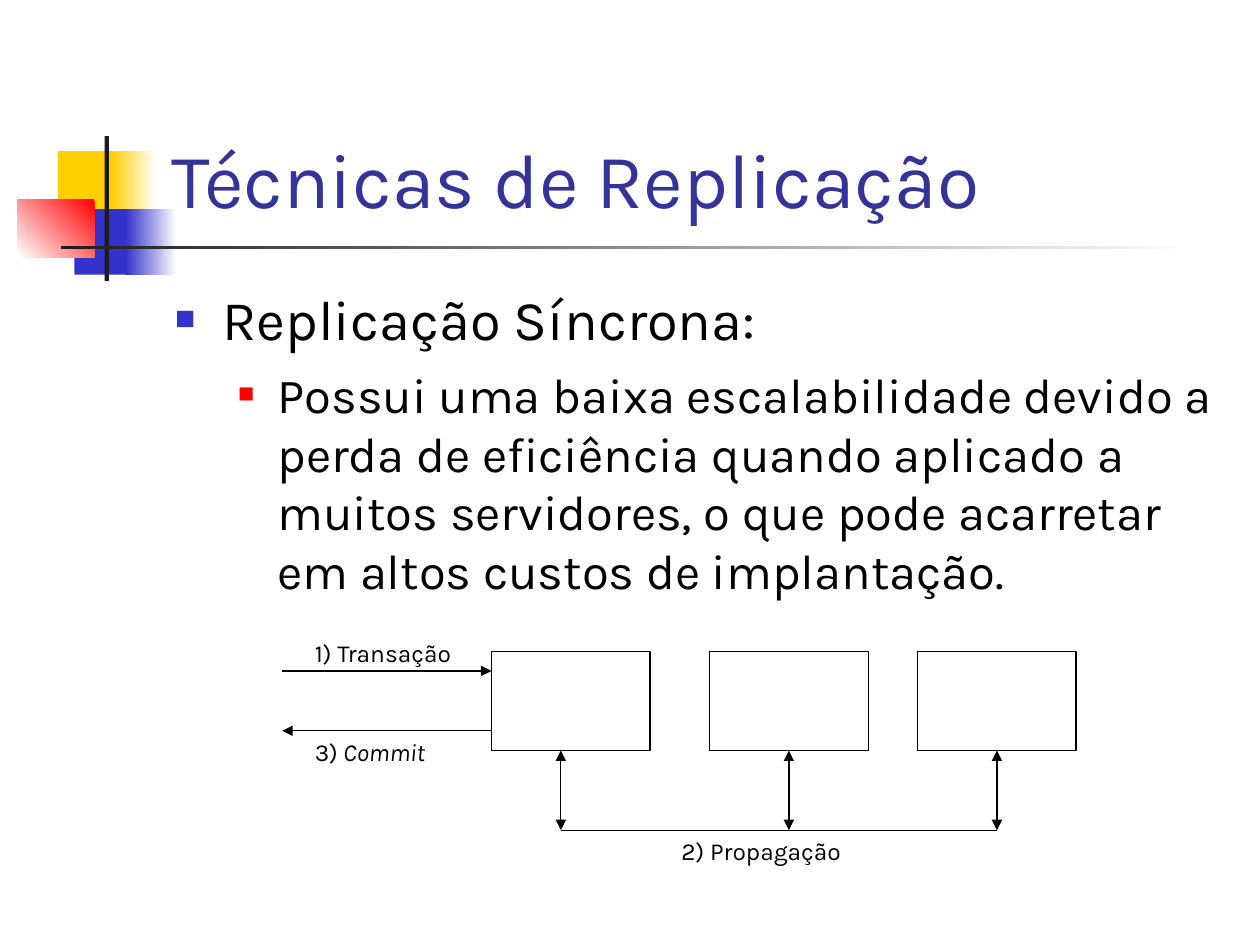
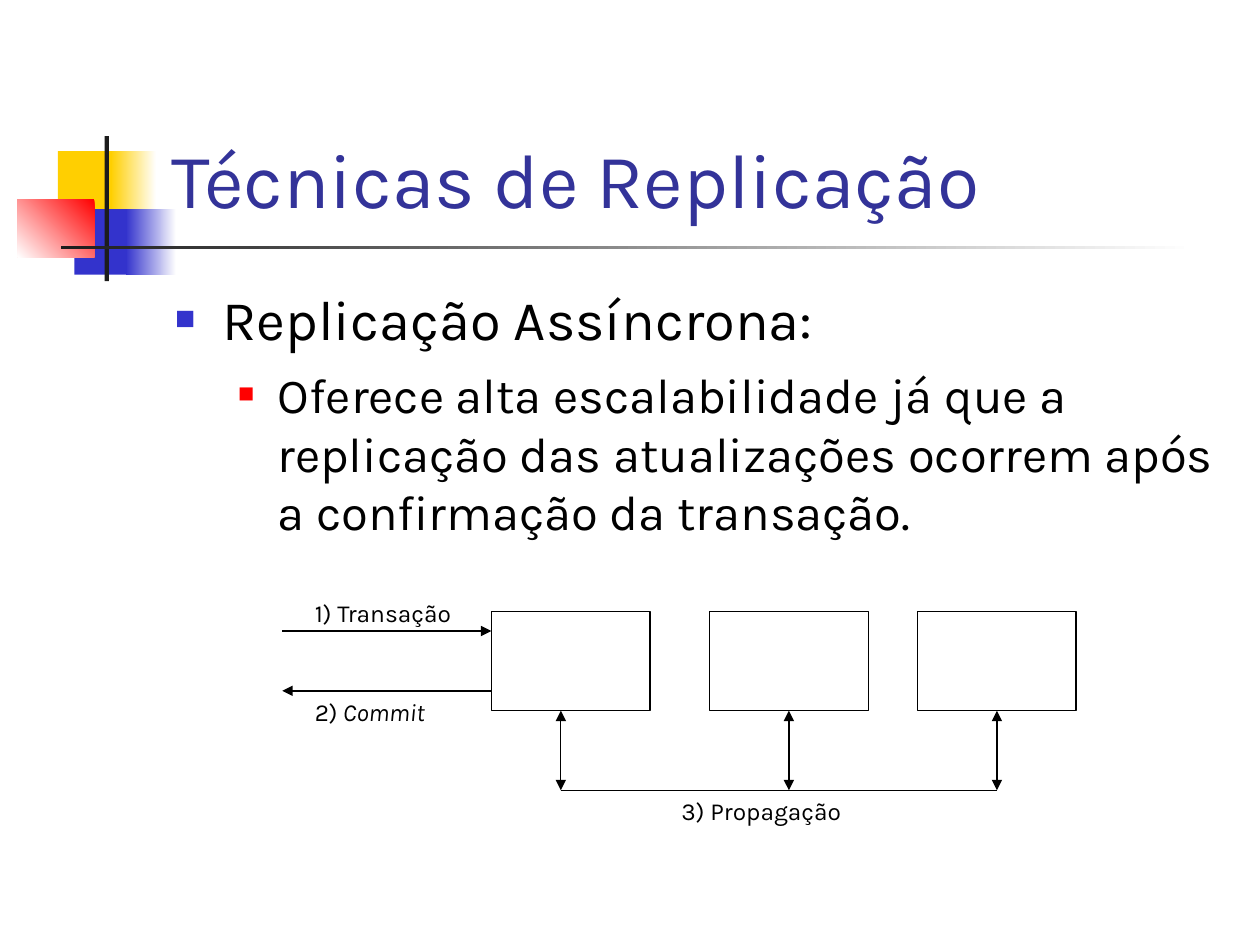
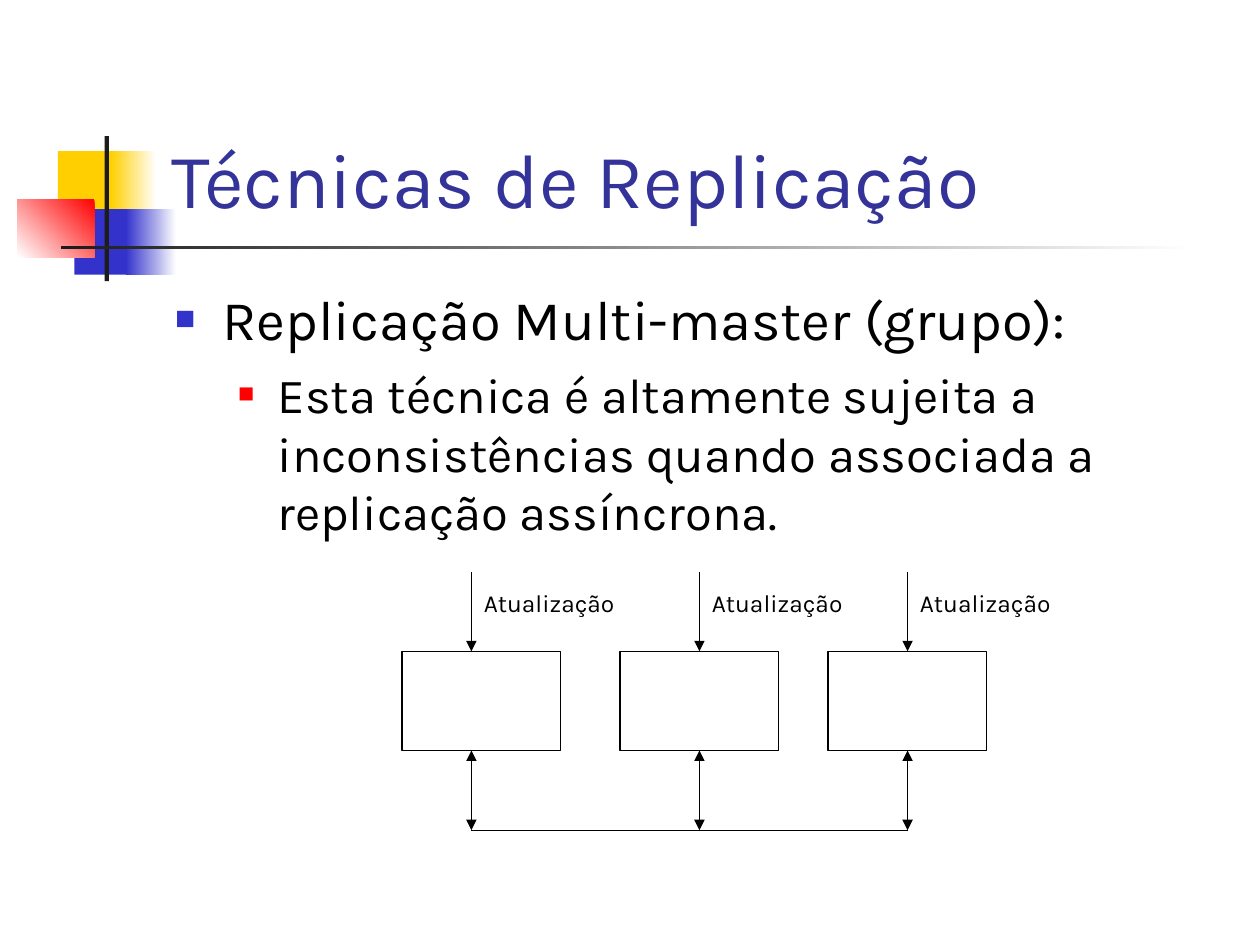
from dataclasses import dataclass

from lxml.etree import SubElement
from pptx import Presentation
from pptx.dml.color import RGBColor
from pptx.enum.shapes import MSO_CONNECTOR as Connector, MSO_SHAPE as Preset
from pptx.enum.text import MSO_ANCHOR as Anchor, MSO_AUTO_SIZE as AutoSize, PP_ALIGN as Align
from pptx.oxml.ns import qn
from pptx.util import Pt


@dataclass(frozen=True)
class Theme:
    font: str = "Karla"
    title_color: str = "333399"
    ink: str = "000000"
    white: str = "FFFFFF"
    yellow: str = "FFCF01"
    blue: str = "3333CC"
    red: str = "FF0000"
    charcoal: str = "1C1C1C"
    title_size: float = 44
    topic_size: float = 32
    detail_size: float = 28
    label_size: float = 14
    line_width: float = 0.75


SERVER_OFFSETS = (0, 124.7, 243.4)
STEM_OFFSETS = (39.7, 170, 288.9)
SERVER_WIDTH, SERVER_HEIGHT = 90.7, 56.7
BUS_DROP = 102.2
CLIENT_X, LABEL_X = 161.3, 172.8
LABEL_HEIGHT = 24.5


class Deck:
    def __init__(self, theme):
        self.theme = theme
        self.prs = Presentation()
        self.prs.slide_width, self.prs.slide_height = Pt(720), Pt(540)
        self.layout = self.prs.slide_layouts[1]
        self.slide = None

    def style(self, paragraph, size, color):
        font = paragraph.font
        font.name, font.size = self.theme.font, Pt(size)
        font.color.rgb = RGBColor.from_string(color)

    def place(self, shape, *box):
        shape.left, shape.top, shape.width, shape.height = map(Pt, box)

    def rectangle(self, *box):
        shape = self.slide.shapes.add_shape(Preset.RECTANGLE, *map(Pt, box))
        shape.shadow.inherit = False
        return shape

    def band(self, box, colors, angle=180):
        band = self.rectangle(*box)
        band.line.fill.background()
        if len(colors) == 1:
            band.fill.solid()
            band.fill.fore_color.rgb = RGBColor.from_string(colors[0])
        else:
            band.fill.gradient()
            band.fill.gradient_angle = angle
            for stop, color in zip(band.fill.gradient_stops, colors):
                stop.color.rgb = RGBColor.from_string(color)
        self.layout.shapes.element.append(band.element)

    def emblem(self):
        t = self.theme
        self.band((33.1, 86.4, 34.6, 37.4), [t.yellow])
        self.band((63.4, 86.4, 25.9, 37.4), [t.white, t.yellow])
        self.band((42.5, 119.5, 33.1, 37.4), [t.blue])
        self.band((72, 119.5, 28.8, 37.4), [t.white, t.blue])
        self.band((10, 113.8, 44, 33.1), [t.red, t.white], 225)
        self.band((59.8, 77.8, 2.4, 82.8), [t.charcoal])
        self.band((34.6, 140.4, 648, 2.2), [t.white, t.charcoal])

    def bullet(self, paragraph, left, hanging, color, percent):
        props = paragraph._p.get_or_add_pPr()
        props.set("marL", str(Pt(left)))
        props.set("indent", str(-Pt(hanging)))
        SubElement(SubElement(props, qn("a:buClr")), qn("a:srgbClr"), val=color)
        SubElement(props, qn("a:buSzPct"), val=str(percent * 1000))
        SubElement(props, qn("a:buChar"), char="■")

    def add_slide(self, topic, detail):
        t = self.theme
        self.slide = self.prs.slides.add_slide(self.layout)
        if len(self.prs.slides) == 1:
            self.emblem()
        title, body = self.slide.placeholders
        self.place(title, 90.7, 16.6, 613.4, 115.2)
        self.place(body, 92.9, 159.1, 612, 324)
        for placeholder in (title, body):
            placeholder.text_frame.auto_size = AutoSize.NONE
            placeholder.text_frame.word_wrap = True

        title.text_frame.text = "Técnicas de Replicação"
        title.text_frame.vertical_anchor = Anchor.BOTTOM
        heading = title.text_frame.paragraphs[0]
        heading.alignment = Align.LEFT
        self.style(heading, t.title_size, t.title_color)

        body.text_frame.text = f"{topic}\n{detail}"
        topic_line, detail_line = body.text_frame.paragraphs
        detail_line.level = 1
        self.bullet(topic_line, 27, 27, t.blue, 60)
        self.bullet(detail_line, 58.5, 22.5, t.red, 55)
        topic_line.space_before = Pt(0)
        detail_line.space_before = Pt(7)
        self.style(topic_line, t.topic_size, t.ink)
        self.style(detail_line, t.detail_size, t.ink)

    def label(self, left, top, width, text, italic=""):
        box = self.slide.shapes.add_textbox(Pt(left), Pt(top), Pt(width), Pt(LABEL_HEIGHT))
        box.text_frame.word_wrap = True
        paragraph = box.text_frame.paragraphs[0]
        paragraph.add_run().text = text
        if italic:
            run = paragraph.add_run()
            run.text = italic
            run.font.italic = True
        self.style(paragraph, self.theme.label_size, self.theme.ink)

    def line(self, start, end, heads=()):
        connector = self.slide.shapes.add_connector(
            Connector.STRAIGHT, *map(Pt, (*start, *end)))
        connector.line.width = Pt(self.theme.line_width)
        connector.line.color.rgb = RGBColor.from_string(self.theme.ink)
        props = connector.element.spPr
        for head in heads:
            SubElement(props.find(qn("a:ln")), qn(f"a:{head}"), type="triangle")
        SubElement(props, qn("a:effectLst"))

    def arrow(self, start, end):
        self.line(start, end, ["tailEnd"])

    def servers(self, left, top):
        for offset in SERVER_OFFSETS:
            server = self.rectangle(left + offset, top, SERVER_WIDTH, SERVER_HEIGHT)
            server.fill.background()
            server.line.width = Pt(self.theme.line_width)
            server.line.color.rgb = RGBColor.from_string(self.theme.ink)
        stems = [left + offset for offset in STEM_OFFSETS]
        bus = top + BUS_DROP
        self.line((stems[0], bus), (stems[-1], bus))
        for x in stems:
            self.line((x, top + SERVER_HEIGHT), (x, bus), ["headEnd", "tailEnd"])
        return stems

    def single_master(self, top, commit_step, propagation_step):
        left = 280.8
        self.servers(left, top)
        request, reply = top + 11.2, top + 45.4
        self.arrow((CLIENT_X, request), (left, request))
        self.arrow((left, reply), (CLIENT_X, reply))
        self.label(LABEL_X, top - 11.4, 108, "1) Transação")
        self.label(LABEL_X, reply, 96.5, f"{commit_step})", " Commit")
        self.label(left + 101.5, top + BUS_DROP, 108, f"{propagation_step}) Propagação")

    def multi_master(self, top):
        for x in self.servers(229.7, top):
            self.arrow((x, top - 45.4), (x, top))
            self.label(x, top - 39.6, 96.5, "Atualização")


def main():
    deck = Deck(Theme())
    deck.add_slide(
        "Replicação Síncrona:",
        "Possui uma baixa escalabilidade devido a perda de eficiência quando aplicado a "
        "muitos servidores, o que pode acarretar em altos custos de implantação.")
    deck.single_master(372.2, commit_step=3, propagation_step=2)

    deck.add_slide(
        "Replicação Assíncrona:",
        "Oferece alta escalabilidade já que a replicação das atualizações ocorrem após "
        "a confirmação da transação.")
    deck.single_master(349.4, commit_step=2, propagation_step=3)

    deck.add_slide(
        "Replicação Multi-master (grupo):",
        "Esta técnica é altamente sujeita a inconsistências quando associada a "
        "replicação assíncrona.")
    deck.multi_master(372.2)
    deck.prs.save("out.pptx")


if __name__ == "__main__":
    main()
